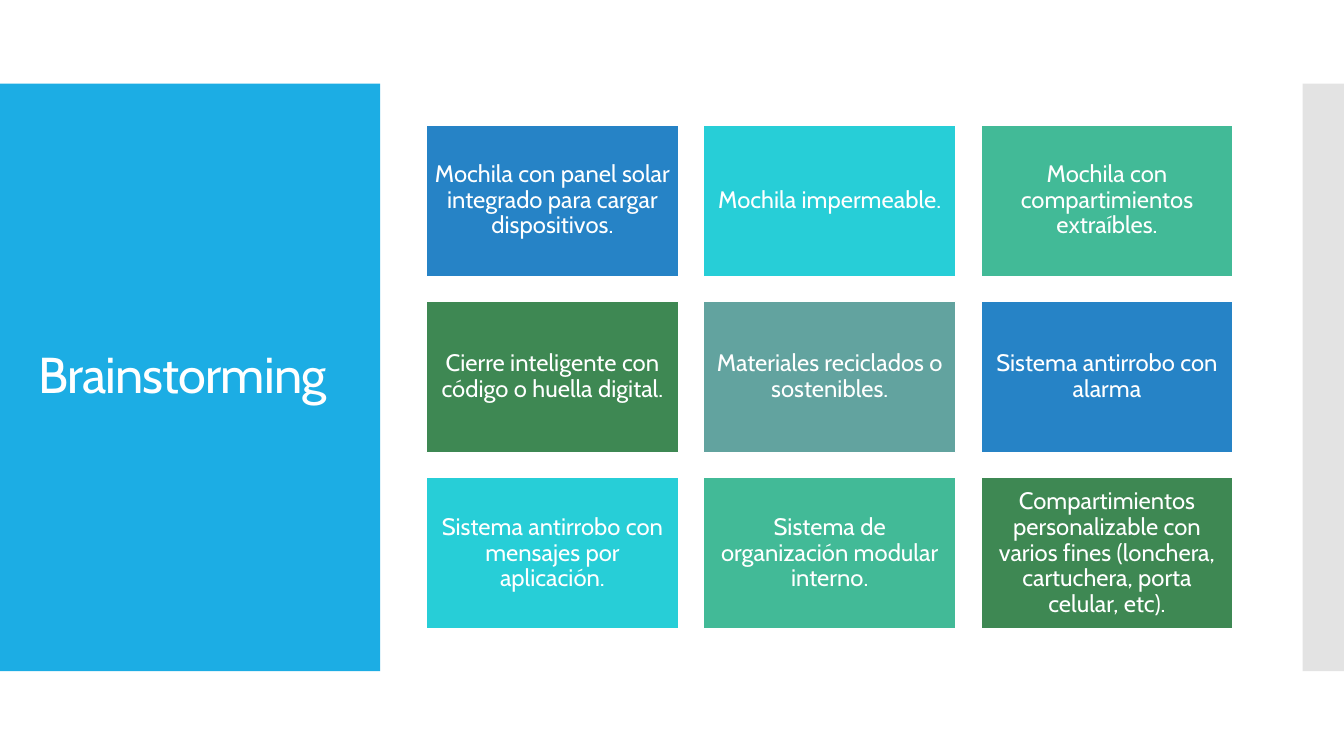
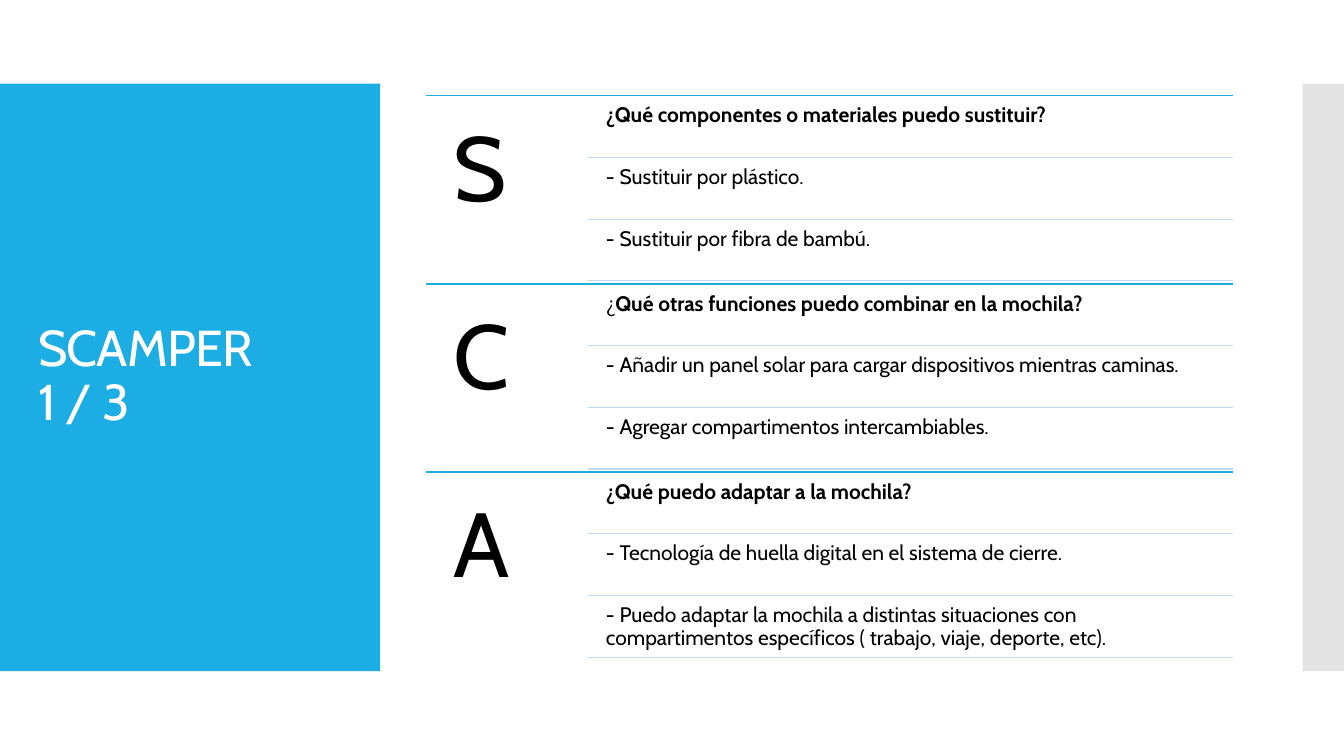
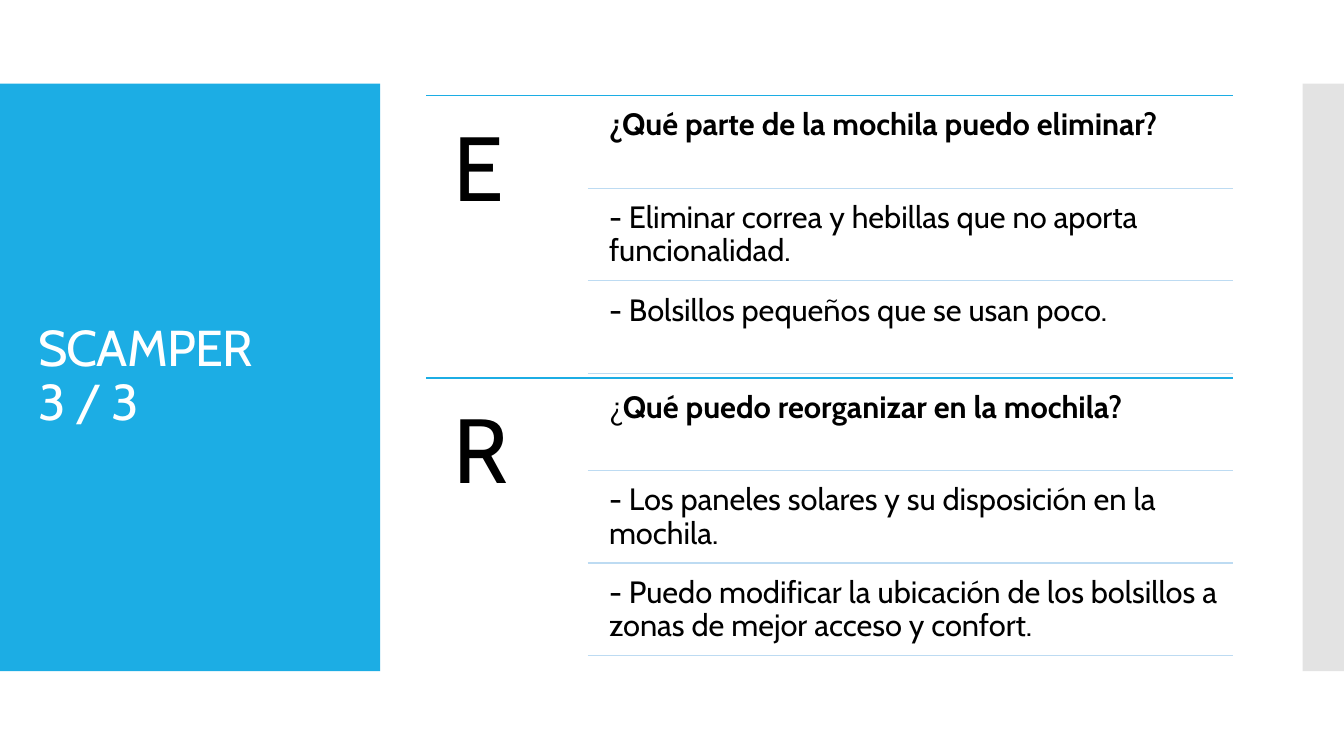
from itertools import cycle

from pptx import Presentation
from pptx.dml.color import RGBColor
from pptx.enum.shapes import MSO_CONNECTOR, MSO_SHAPE
from pptx.enum.text import MSO_ANCHOR as ANCHOR, PP_ALIGN as ALIGN
from pptx.oxml.ns import qn
from pptx.util import Inches, Pt

COLORS = {
    "panel": "1CADE4",
    "edge": "C8C8C8",
    "rule": "BDDBF2",
    "white": "FFFFFF",
    "black": "000000",
    "blue": "2683C6",
    "cyan": "27CED7",
    "green": "42BA97",
    "forest": "3E8853",
    "teal": "62A39F",
}
TILE_COLORS = ["blue", "cyan", "green", "forest", "teal"]

IDEAS = [
    "Mochila con panel solar integrado para cargar dispositivos.",
    "Mochila impermeable.",
    "Mochila con compartimientos extraíbles.",
    "Cierre inteligente con código o huella digital.",
    "Materiales reciclados o sostenibles.",
    "Sistema antirrobo con alarma",
    "Sistema antirrobo con mensajes por aplicación.",
    "Sistema de organización modular interno.",
    "Compartimientos personalizable con varios fines "
    "(lonchera, cartuchera, porta celular, etc).",
]

SCAMPER_1 = [
    ("S", ("", "¿Qué componentes o materiales puedo sustituir?"), [
        "- Sustituir por plástico.",
        "- Sustituir por fibra de bambú.",
    ]),
    ("C", ("¿", "Qué otras funciones puedo combinar en la mochila?"), [
        "- Añadir un panel solar para cargar dispositivos mientras caminas.",
        "- Agregar compartimentos intercambiables.",
    ]),
    ("A", ("", "¿Qué puedo adaptar a la mochila?"), [
        "- Tecnología de huella digital en el sistema de cierre.",
        "- Puedo adaptar la mochila a distintas situaciones con "
        "compartimentos específicos ( trabajo, viaje, deporte, etc).",
    ]),
]

SCAMPER_3 = [
    ("E", ("", "¿Qué parte de la mochila puedo eliminar?"), [
        "- Eliminar correa y hebillas que no aporta funcionalidad.",
        "- Bolsillos pequeños que se usan poco.",
    ]),
    ("R", ("¿", "Qué puedo reorganizar en la mochila?"), [
        "- Los paneles solares y su disposición en la mochila.",
        "- Puedo modificar la ubicación de los bolsillos a zonas "
        "de mejor acceso y confort.",
    ]),
]


class Deck:
    font = "Cabin"
    left, right = 4.23, 12.23
    top, height = 0.95, 5.6
    rows_left, text_left = 5.83, 5.95

    def __init__(self):
        self.prs = Presentation()
        self.prs.slide_width = Inches(13.33)
        self.prs.slide_height = Inches(7.5)
        self.s = None

    def rgb(self, name):
        return RGBColor.from_string(COLORS[name])

    def slide(self, title):
        self.s = self.prs.slides.add_slide(self.prs.slide_layouts[6])
        self.rect(0, 0.83, 3.77, 5.83, "panel")
        edge = self.rect(12.92, 0.83, 0.41, 5.83, "edge")
        color = edge._element.spPr.find(qn("a:solidFill"))[0]
        color.append(color.makeelement(qn("a:alpha"), {"val": "50000"}))
        sp = self.text(0.28, 1.23, 3.22, 5.03, [(title, False)], 36, "white", 0.1)
        sp.text_frame.vertical_anchor = ANCHOR.MIDDLE
        for r in sp.text_frame.paragraphs[0].runs:
            r._r.get_or_add_rPr().set("spc", "-60")

    def rect(self, x, y, w, h, fill):
        sp = self.s.shapes.add_shape(
            MSO_SHAPE.RECTANGLE, Inches(x), Inches(y), Inches(w), Inches(h))
        sp.shadow.inherit = False
        sp.fill.solid()
        sp.fill.fore_color.rgb = self.rgb(fill)
        sp.line.fill.background()
        return sp

    def set_text(self, sp, parts, size, color, inset):
        tf = sp.text_frame
        tf.word_wrap = True
        tf.margin_left = tf.margin_right = Inches(inset)
        tf.margin_top = tf.margin_bottom = Inches(inset)
        p = tf.paragraphs[0]
        p.line_spacing = 0.9
        for text, bold in parts:
            for i, line in enumerate(text.split("\n")):
                if i:
                    p.add_line_break()
                r = p.add_run()
                r.text = line
                r.font.name = self.font
                r.font.size = Pt(size)
                r.font.bold = bold
                r.font.color.rgb = self.rgb(color)

    def text(self, x, y, w, h, parts, size, color, inset):
        sp = self.s.shapes.add_textbox(Inches(x), Inches(y), Inches(w), Inches(h))
        self.set_text(sp, parts, size, color, inset)
        return sp

    def tile(self, x, y, w, h, text, fill):
        sp = self.rect(x, y, w, h, fill)
        sp.line.color.rgb = self.rgb("white")
        sp.line.width = Pt(0.85)
        self.set_text(sp, [(text, False)], 17, "white", 0.07)
        sp.text_frame.vertical_anchor = ANCHOR.MIDDLE
        sp.text_frame.paragraphs[0].alignment = ALIGN.CENTER

    def rule(self, x, y, color):
        line = self.s.shapes.add_connector(
            MSO_CONNECTOR.STRAIGHT, Inches(x), Inches(y), Inches(self.right), Inches(y))
        line.line.color.rgb = self.rgb(color)
        line.line.width = Pt(0.85)
        spPr = line._element.spPr
        spPr.append(spPr.makeelement(qn("a:effectLst"), {}))

    def tiles(self, ideas):
        w, h, gap = 2.5, 1.5, 0.25
        for i, (idea, fill) in enumerate(zip(ideas, cycle(TILE_COLORS))):
            row, col = divmod(i, 3)
            self.tile(self.left + col * (w + gap), 1.24 + row * (h + gap),
                      w, h, idea, fill)

    def sections(self, sections, size, inset):
        section_h = self.height / len(sections)
        gap = section_h / 62
        for i, (letter, (plain, bold), answers) in enumerate(sections):
            y = self.top + i * section_h
            self.rule(self.left, y, "panel")
            self.text(self.left, y, 1.6, section_h, [(letter, False)], 65, "black", 0.27)
            question = [(plain, False), (bold, True)] if plain else [(bold, True)]
            rows = [question] + [[(answer, False)] for answer in answers]
            row_h = (section_h - gap) / len(rows) - gap
            for row in rows:
                y += gap
                self.text(self.text_left, y, self.right - self.text_left, row_h,
                          row, size, "black", inset)
                y += row_h
                self.rule(self.rows_left, y, "rule")


def main():
    deck = Deck()
    deck.slide("Brainstorming")
    deck.tiles(IDEAS)
    deck.slide("SCAMPER\n1 / 3")
    deck.sections(SCAMPER_1, 15, 0.06)
    deck.slide("SCAMPER\n3 / 3")
    deck.sections(SCAMPER_3, 22, 0.09)
    deck.prs.save("out.pptx")


if __name__ == "__main__":
    main()
